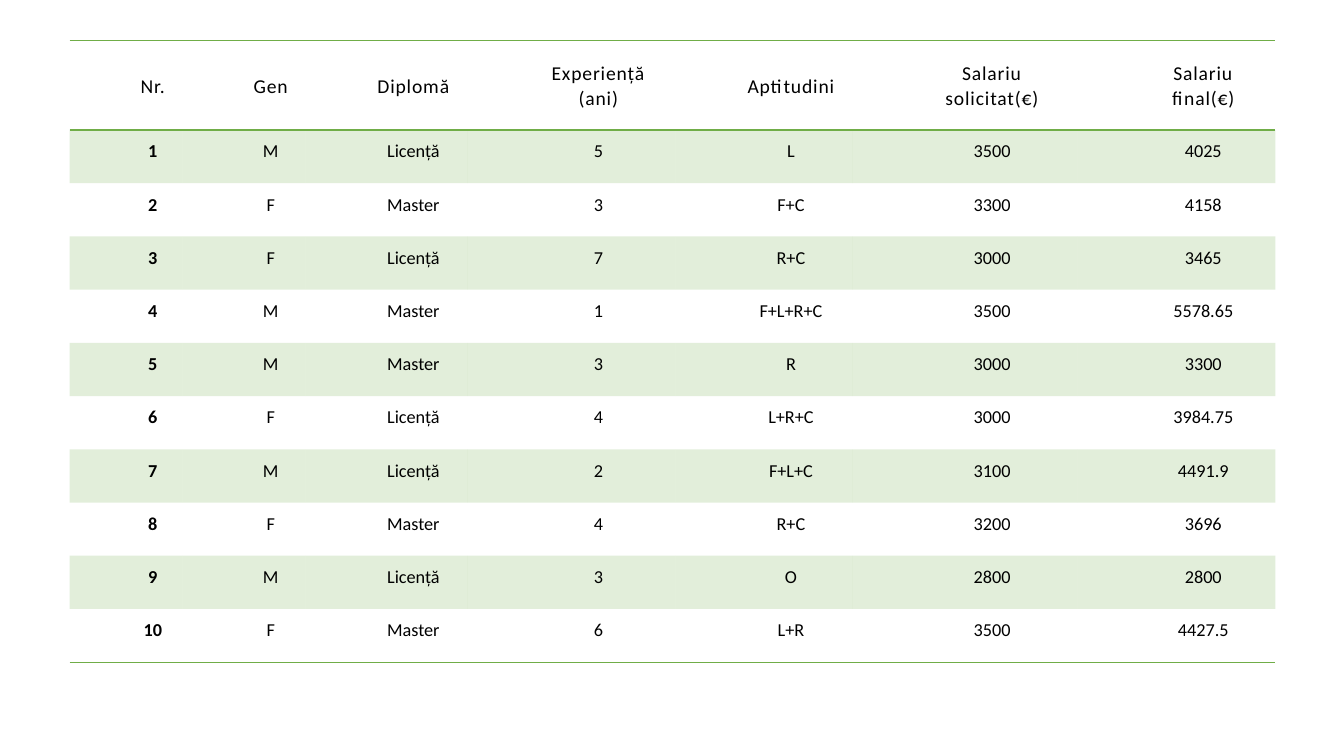
import pptx
import pptx.util
import pptx.dml.color
import pptx.enum.text
import pptx.oxml
import pptx.oxml.ns

Inches = pptx.util.Inches
Pt = pptx.util.Pt
GREEN = pptx.dml.color.RGBColor(0x70, 0xAD, 0x47)
BLACK = pptx.dml.color.RGBColor(0x00, 0x00, 0x00)
NO_GRID_STYLE = "{2D5ABB26-0587-4C30-8999-92F81FD0307C}"


def write(cell, text, size=13, bold=False, spacing=0, after=0):
    p = cell.text_frame.paragraphs[0]
    p.alignment = pptx.enum.text.PP_ALIGN.CENTER
    p.line_spacing = 1.07
    p.space_after = Pt(after)
    pPr = p._p.get_or_add_pPr()
    pPr.set("marL", str(Inches(0.5)))
    pPr.set("indent", "0")
    r = p.add_run()
    r.text = text
    r.font.name = "Calibri"
    r.font.size = Pt(size)
    r.font.bold = bold
    r.font.color.rgb = BLACK
    r._r.get_or_add_rPr().set("spc", str(int(spacing * 100)))


def add_border(cell, side):
    cell._tc.get_or_add_tcPr().append(pptx.oxml.parse_xml(
        f'<a:ln{side} {pptx.oxml.ns.nsdecls("a")} w="{Pt(1)}">'
        f'<a:solidFill><a:srgbClr val="{GREEN}"/></a:solidFill>'
        f'<a:prstDash val="solid"/></a:ln{side}>'))


rows = [
    ("Nr.", "Gen", "Diplomă", "Experiență (ani)", "Aptitudini", "Salariu solicitat(€)", "Salariu final(€)"),
    ("1", "M", "Licență", "5", "L", "3500", "4025"),
    ("2", "F", "Master", "3", "F+C", "3300", "4158"),
    ("3", "F", "Licență", "7", "R+C", "3000", "3465"),
    ("4", "M", "Master", "1", "F+L+R+C", "3500", "5578.65"),
    ("5", "M", "Master", "3", "R", "3000", "3300"),
    ("6", "F", "Licență", "4", "L+R+C", "3000", "3984.75"),
    ("7", "M", "Licență", "2", "F+L+C", "3100", "4491.9"),
    ("8", "F", "Master", "4", "R+C", "3200", "3696"),
    ("9", "M", "Licență", "3", "O", "2800", "2800"),
    ("10", "F", "Master", "6", "L+R", "3500", "4427.5"),
]
widths = [1.12, 1.22, 1.61, 2.06, 1.76, 2.23, 1.96]
table_height = 6.17
header_height = 0.89
last_row = len(rows) - 1
last_col = len(widths) - 1

prs = pptx.Presentation()
prs.slide_width = Inches(13.33)
prs.slide_height = Inches(7.5)
s = prs.slides.add_slide(prs.slide_layouts[6])

table = s.shapes.add_table(len(rows), len(widths), Inches(0.69), Inches(0.4),
                           Inches(sum(widths)), Inches(table_height)).table
table.horz_banding = False
table._tbl.tblPr.find(pptx.oxml.ns.qn("a:tableStyleId")).text = NO_GRID_STYLE

for column, width in zip(table.columns, widths):
    column.width = Inches(width)

for i, row in enumerate(rows):
    header = i == 0
    table.rows[i].height = Inches(header_height if header else (table_height - header_height) / last_row)
    for j, text in enumerate(row):
        cell = table.cell(i, j)
        cell.margin_left = Inches(0.15)
        cell.margin_top = Inches(0.09)
        cell.margin_right = Inches(0.12)
        cell.margin_bottom = Inches(0.08)
        after = 8 if j == last_col else 0
        if header:
            cell.vertical_anchor = pptx.enum.text.MSO_ANCHOR.MIDDLE
            write(cell, text, size=14, spacing=0.6, after=after)
            add_border(cell, "T")
        else:
            write(cell, text, bold=j == 0, after=after)
        if i in (0, last_row):
            add_border(cell, "B")
        if i % 2:
            cell.fill.solid()
            cell.fill.fore_color.rgb = GREEN
            color = cell._tc.tcPr.find(pptx.oxml.ns.qn("a:solidFill"))[0]
            color.append(pptx.oxml.parse_xml(f'<a:alpha {pptx.oxml.ns.nsdecls("a")} val="20000"/>'))
        else:
            cell.fill.background()

prs.save("out.pptx")
